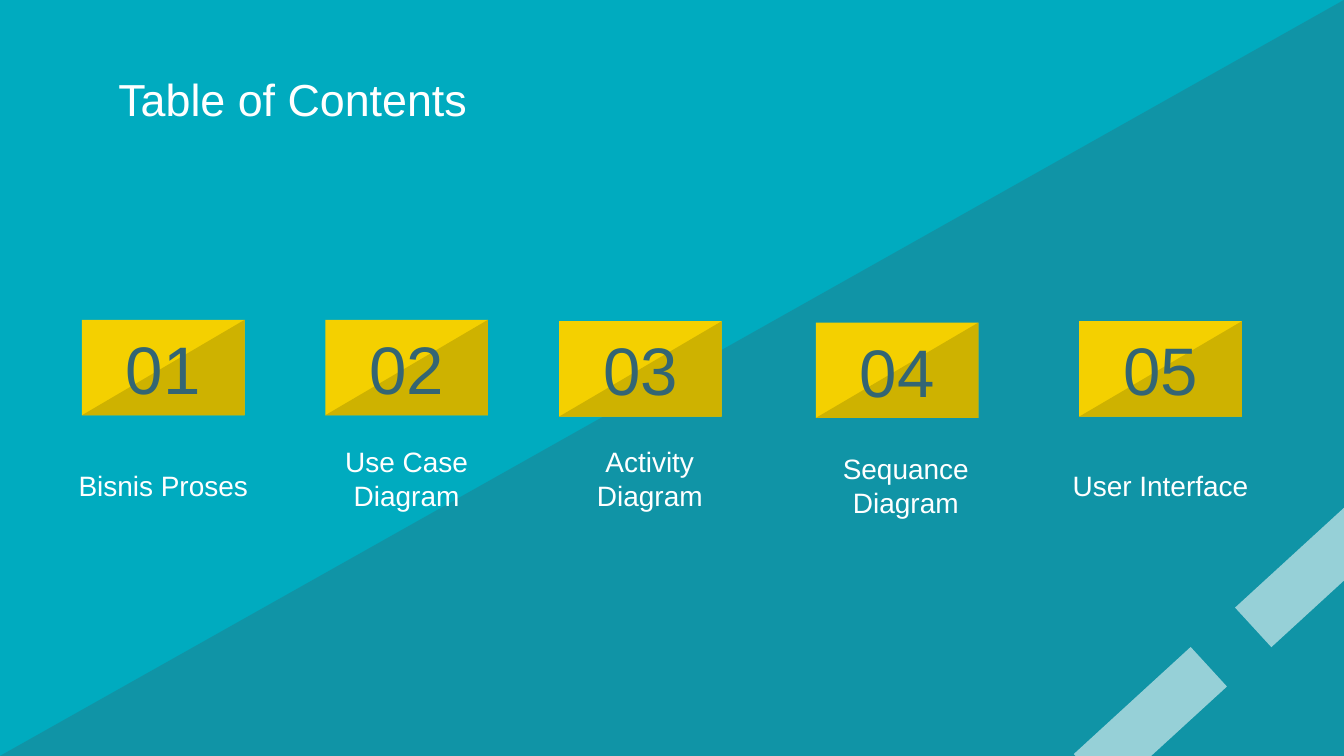
from lxml.etree import SubElement
from pptx import Presentation
from pptx.dml.color import RGBColor
from pptx.enum.shapes import MSO_SHAPE
from pptx.enum.text import MSO_ANCHOR, MSO_AUTO_SIZE, PP_ALIGN
from pptx.oxml.ns import qn
from pptx.util import Inches, Pt

# Content: number, label, card left and top, label left, top and width
HEADING = "Table of Contents"
CHAPTERS = [
    ("01", "Bisnis Proses", 0.61, 2.38, 0.44, 3.26, 1.55),
    ("02", "Use Case Diagram", 2.42, 2.38, 2.25, 3.21, 1.55),
    ("03", "Activity Diagram", 4.16, 2.39, 4.06, 3.21, 1.55),
    ("04", "Sequance Diagram", 6.07, 2.4, 5.9, 3.26, 1.68),
    ("05", "User Interface", 8.03, 2.39, 7.86, 3.26, 1.55),
]
STRIPES = [(7.97, 5.16), (9.17, 4.07)]

COLORS = {
    "background": "00ABBF", "slate": "336574", "white": "FFFFFF",
    "yellow": "F4D000", "gold": "CEB200",
}
SLIDE_W = 10
SLIDE_H = SLIDE_W * 9 / 16
CARD_W, CARD_H = 1.21, 0.71
LABEL_H = 0.7
FRAME_FORMAT = {
    "word_wrap": True, "auto_size": MSO_AUTO_SIZE.NONE,
    "vertical_anchor": MSO_ANCHOR.MIDDLE,
    "margin_left": Inches(0.1), "margin_right": Inches(0.1),
    "margin_top": Inches(0.1), "margin_bottom": Inches(0.1),
}


def rgb(name):
    return RGBColor.from_string(COLORS[name])


def add_block(preset, box, color, opacity=None, flip=False, rotation=0):
    block = slide.shapes.add_shape(preset, *map(Inches, box))
    block.shadow.inherit = False
    block.fill.solid()
    block.fill.fore_color.rgb = rgb(color)
    block.line.fill.background()
    block.rotation = rotation
    if flip:
        block._element.spPr.get_or_add_xfrm().set("flipH", "1")
    if opacity is not None:
        fill_color = block._element.spPr.find(qn("a:solidFill"))[0]
        SubElement(fill_color, qn("a:alpha")).set("val", str(opacity * 1000))


def write(holder, text, size, color, align=PP_ALIGN.CENTER):
    frame = holder.text_frame
    for key, value in FRAME_FORMAT.items():
        setattr(frame, key, value)
    frame.text = text
    paragraph = frame.paragraphs[0]
    paragraph.alignment = align
    font = paragraph.runs[0].font
    for key, value in {"name": "Arial", "size": Pt(size)}.items():
        setattr(font, key, value)
    font.color.rgb = rgb(color)


def add_text(box, text, size, color):
    write(slide.shapes.add_textbox(*map(Inches, box)), text, size, color)


prs = Presentation()
prs.slide_width, prs.slide_height = Inches(SLIDE_W), Inches(SLIDE_H)
slide = prs.slides.add_slide(prs.slide_layouts[5])
slide.background.fill.solid()
slide.background.fill.fore_color.rgb = rgb("background")

# Diagonal backdrop and corner stripes
add_block(MSO_SHAPE.RIGHT_TRIANGLE, (0, 0, SLIDE_W, SLIDE_H), "slate",
          opacity=32, flip=True)
for left, top in STRIPES:
    add_block(MSO_SHAPE.RECTANGLE, (left, top, 1.18, 0.4), "white",
              opacity=56, rotation=317.5)

# Heading
heading = slide.shapes.title
heading.left, heading.top = Inches(0.78), Inches(0.42)
heading.width, heading.height = Inches(8.44), Inches(0.63)
write(heading, HEADING, 24, "white", align=PP_ALIGN.LEFT)

# Numbered cards with their labels
for number, label, left, top, label_left, label_top, label_w in CHAPTERS:
    card = (left, top, CARD_W, CARD_H)
    add_block(MSO_SHAPE.RECTANGLE, card, "yellow")
    add_block(MSO_SHAPE.RIGHT_TRIANGLE, card, "gold", flip=True)
    add_text(card, number, 36, "slate")
    add_text((label_left, label_top, label_w, LABEL_H), label, 15, "white")

prs.save("out.pptx")
